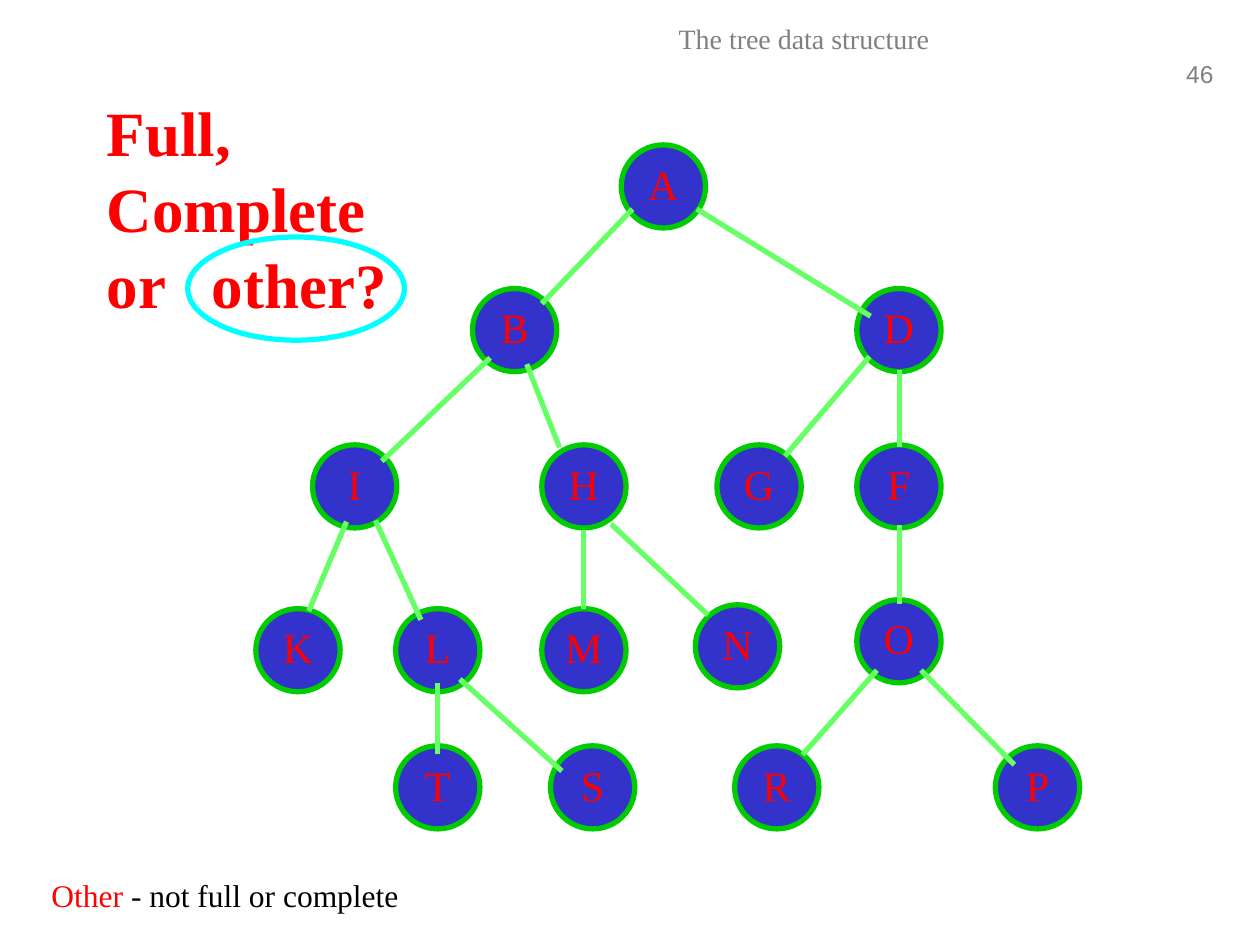
from lxml import etree
from pptx import Presentation
from pptx.dml.color import RGBColor
from pptx.enum.shapes import MSO_CONNECTOR, MSO_SHAPE
from pptx.enum.text import MSO_ANCHOR, PP_ALIGN
from pptx.oxml.ns import qn
from pptx.util import Pt

RED = RGBColor(0xFF, 0x00, 0x00)
BLACK = RGBColor(0x00, 0x00, 0x00)
WHITE = RGBColor(0xFF, 0xFF, 0xFF)
GRAY = RGBColor(0x80, 0x80, 0x80)
NODE_BLUE = RGBColor(0x33, 0x33, 0xCC)
NODE_GREEN = RGBColor(0x00, 0xCC, 0x00)
EDGE_GREEN = RGBColor(0x66, 0xFF, 0x66)
CYAN = RGBColor(0x00, 0xFF, 0xFF)

NODE_WIDTH, NODE_HEIGHT = 48.2, 47.5

# Top of each tree level, then left and top of each node
LEVELS = [82.8, 164.9, 254.2, 347.8, 426.2]
NODES = {
    "A": (355, LEVELS[0]),
    "B": (270, LEVELS[1]), "D": (489.6, LEVELS[1]),
    "I": (178.6, LEVELS[2]), "H": (309.6, LEVELS[2]),
    "G": (409.7, LEVELS[2]), "F": (489.6, LEVELS[2]),
    "K": (146.2, LEVELS[3]), "L": (226.1, LEVELS[3]),
    "M": (309.6, LEVELS[3]), "N": (397.4, 345.6), "O": (489.6, 342.7),
    "T": (226.1, LEVELS[4]), "S": (314.6, LEVELS[4]),
    "R": (419.8, LEVELS[4]), "P": (568.8, LEVELS[4]),
}

# Parent and child, with the start and end point of the edge
EDGES = {
    "AB": (361.4, 119.5, 309.6, 173.5),
    "AD": (398.2, 119.5, 497.5, 180.7),
    "DF": (514.1, 211.7, 514.1, 255.6),
    "DG": (496.8, 203.8, 448.6, 260.6),
    "BI": (280.1, 204.5, 218.2, 263.5),
    "BH": (301, 208.1, 319.7, 255.6),
    "FO": (514.1, 300.2, 514.1, 344.9),
    "HM": (333.4, 303.1, 333.4, 347.8),
    "IK": (198, 298.1, 176.4, 349.2),
    "IL": (214.6, 297.4, 240.5, 354.2),
    "LT": (249.8, 390.2, 249.8, 430.6),
    "LS": (262.8, 388.1, 321.1, 440.6),
    "OP": (526.3, 383, 579.6, 437),
    "OR": (501.1, 383, 458.6, 431.3),
    "HN": (349.2, 299.5, 404.6, 351.4),
}


class TreeSlide:
    serif = "Times New Roman"
    sans = "Arial"
    line_width = Pt(3)

    def __init__(self, slide):
        self.slide = slide

    def style_run(self, run, size, color, font=serif, bold=False):
        run.font.name = font
        run.font.size = Pt(size)
        run.font.bold = bold
        run.font.color.rgb = color

    def text(self, box, runs, size, font=serif, bold=False,
             align=PP_ALIGN.LEFT, wrap=True):
        shape = self.slide.shapes.add_textbox(*map(Pt, box))
        shape.text_frame.word_wrap = wrap
        paragraph = shape.text_frame.paragraphs[0]
        paragraph.alignment = align
        for words, color in runs:
            run = paragraph.add_run()
            run.text = words
            self.style_run(run, size, color, font, bold)
        return shape

    def title(self, box, words, tab):
        shape = self.text(box, [(words, RED)], 36, bold=True)
        shape.fill.solid()
        shape.fill.fore_color.rgb = WHITE
        shape.text_frame.margin_top = Pt(5.5)
        shape.text_frame.margin_right = Pt(12)
        paragraph = shape.text_frame.paragraphs[0]
        paragraph.line_spacing = Pt(43.2)
        tabs = etree.SubElement(paragraph._p.get_or_add_pPr(), qn("a:tabLst"))
        etree.SubElement(tabs, qn("a:tab"), pos=str(Pt(tab)), algn="l")

    def ellipse(self, box, line_color, fill_color=None):
        shape = self.slide.shapes.add_shape(MSO_SHAPE.OVAL, *map(Pt, box))
        shape.shadow.inherit = False
        if fill_color is None:
            shape.fill.background()
        else:
            shape.fill.solid()
            shape.fill.fore_color.rgb = fill_color
        shape.line.color.rgb = line_color
        shape.line.width = self.line_width
        return shape

    def node(self, letter, left, top):
        box = (left, top, NODE_WIDTH, NODE_HEIGHT)
        frame = self.ellipse(box, NODE_GREEN, NODE_BLUE).text_frame
        frame.margin_left = frame.margin_right = frame.margin_top = 0
        frame.margin_bottom = Pt(3.6)
        frame.vertical_anchor = MSO_ANCHOR.MIDDLE
        frame.word_wrap = False
        frame.text = letter
        paragraph = frame.paragraphs[0]
        paragraph.alignment = PP_ALIGN.CENTER
        self.style_run(paragraph.runs[0], 24, RED)

    def edge(self, points):
        line = self.slide.shapes.add_connector(
            MSO_CONNECTOR.STRAIGHT, *map(Pt, points))
        line.line.color.rgb = EDGE_GREEN
        line.line.width = self.line_width
        etree.SubElement(line._element.spPr, qn("a:effectLst"))


def main():
    presentation = Presentation()
    presentation.slide_width, presentation.slide_height = Pt(720), Pt(540)
    tree = TreeSlide(presentation.slides.add_slide(presentation.slide_layouts[6]))

    # Header and title
    tree.text((668.9, 30.2, 31.7, 23.8), [("46", GRAY)], 14, font=tree.sans,
              align=PP_ALIGN.RIGHT, wrap=False)
    tree.text((229.7, 8.6, 459.4, 28.8), [("The tree data structure", GRAY)], 16,
              align=PP_ALIGN.CENTER)
    tree.title((54, 48.2, 204.5, 169.9), "Full, Complete or\tother?", tab=60)

    # Tree
    for letter, position in NODES.items():
        tree.node(letter, *position)
    for points in EDGES.values():
        tree.edge(points)

    # Answer
    tree.ellipse((107.3, 135.4, 123.8, 59), CYAN)
    tree.text((22.3, 496.8, 215.3, 28.8),
              [("Other ", RED), ("- not full or complete", BLACK)], 18, wrap=False)

    presentation.save("out.pptx")


if __name__ == "__main__":
    main()
